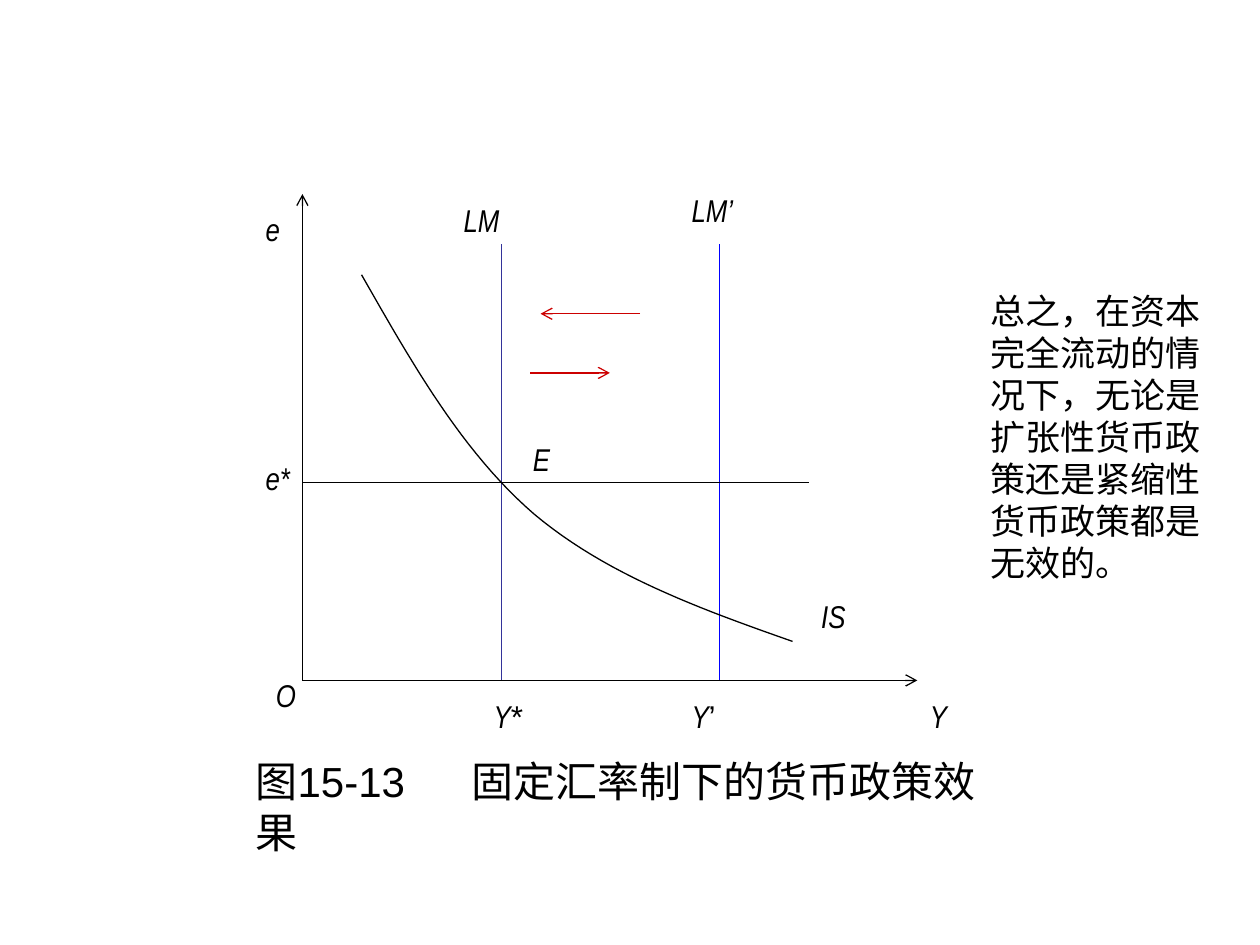
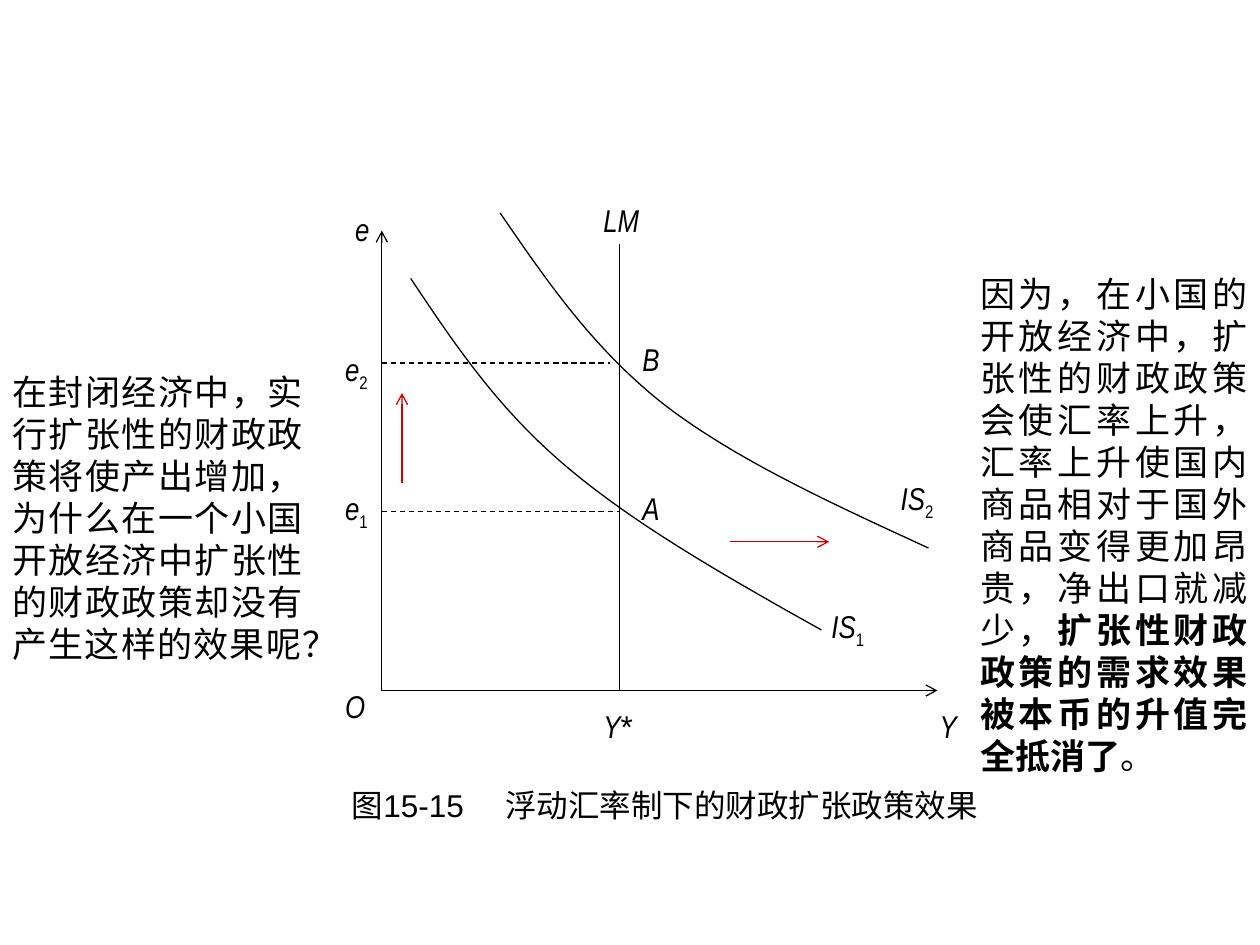
from lxml.etree import SubElement
from pptx import Presentation
from pptx.dml.color import RGBColor
from pptx.enum.dml import MSO_LINE
from pptx.enum.lang import MSO_LANGUAGE_ID as LANG
from pptx.enum.shapes import MSO_CONNECTOR
from pptx.enum.text import MSO_AUTO_SIZE, PP_ALIGN
from pptx.oxml.ns import qn
from pptx.util import Pt

BLACK, RED, NAVY, BLUE = "000000", "CC0000", "333399", "0000FF"
SANS, NARROW = "Arial", "Arial Narrow"
LABEL_H = 28.8
CURVE_STEPS = 24

MONETARY = {
    "axes": {"origin": (172.8, 388.8), "x_end": 524.2, "y_end": 110.9},
    "lines": [
        ((286.6, 139.7), (286.6, 388.8), {"color": NAVY}),
        ((411.1, 139.7), (411.1, 388.8), {"color": BLUE}),
        ((172.8, 275.8), (462.2, 275.8), {}),
        ((303.1, 213.1), (348.5, 213.1), {"color": RED, "arrow": True}),
        ((365.8, 179.3), (308.9, 179.3), {"color": RED, "arrow": True}),
    ],
    "curves": [
        [(206.6, 157), (235.4, 207.4), (264.2, 258.5), (305.3, 293.8),
         (346.3, 328.3), (399.6, 347.8), (452.9, 366.5)],
    ],
    "labels": [
        ("e", "", 144.7, 116.6, 17.3),
        ("e*", "", 144.7, 258.5, 39.6),
        ("O", "", 150.5, 383, 22.3),
        ("Y", "", 524.2, 394.6, 23),
        ("Y", "*", 275, 394.6, 33.8),
        ("Y", "’", 388.1, 394.6, 45.4),
        ("IS", "", 462.2, 337.7, 39.6),
        ("E", "", 297.4, 247.7, 22.3),
        ("LM", "", 257.8, 111.6, 45.4),
        ("LM’", "", 388.1, 105.8, 51.1),
    ],
    "texts": [
        ([("图15-13\t固定汇率制下的货币政策效果", {})],
         (139, 428.4, 442.1, 93.6), {"size": 24, "tab": 123.5}),
        ([("总之，在资本完全流动的情况下，无论是扩张性货币政策还是紧缩性货币政策都是无效的。", {})],
         (558.7, 162, 147.6, 175.7), {}),
    ],
}

FISCAL = {
    "axes": {"origin": (218.2, 394.6), "x_end": 535.7, "y_end": 131.8},
    "lines": [
        ((354.2, 139.7), (354.2, 394.6), {}),
        ((218.2, 207.4), (348.5, 207.4), {"dash": True}),
        ((218.2, 292.3), (354.2, 292.3), {"dash": True}),
        ((229.7, 275.8), (229.7, 224.6), {"color": RED, "arrow": True}),
        ((416.9, 309.6), (473.8, 309.6), {"color": RED, "arrow": True}),
    ],
    "curves": [
        [(234.7, 159.1), (259.2, 195.8), (283.7, 232.6), (322.6, 265.7),
         (362.2, 299.5), (415.4, 329.8), (469.4, 360)],
        [(285.8, 121.7), (312.5, 160.6), (339.1, 199.4), (379.4, 231.1),
         (420.5, 262.8), (475.9, 288), (530.6, 313.2)],
    ],
    "labels": [
        ("O", "", 190.1, 388.8, 33.8),
        ("Y", "", 529.9, 400.3, 51.1),
        ("Y", "*", 337.7, 400.3, 51.1),
        ("B", "", 360, 190.8, 28.1),
        ("A", "", 360, 275.8, 28.1),
        ("LM", "", 337.7, 111.6, 45.4),
        ("e", "", 195.8, 116.6, 28.1),
        ("e", "1", 190.1, 275.8, 33.8),
        ("e", "2", 190.1, 196.6, 39.6),
        ("IS", "1", 468, 343.4, 33.8),
        ("IS", "2", 507.6, 270, 45.4),
    ],
    "texts": [
        ([("图15-15\t浮动汇率制下的财政扩张政策效果", {})],
         (194, 445.7, 489.4, 28.8), {"size": 18, "tab": 87.5}),
        ([("因为，在小国的开放经济中，扩张性的财政政策会使汇率上升，汇率上升使国内商品相对于国外商品变得更加昂贵，净出口就减少，", {}),
          ("扩张性财政政策的需求效果被本币的升值完全抵消了", {"bold": True}),
          ("。", {})],
         (553, 151.9, 167, 295.2), {"align": PP_ALIGN.JUSTIFY}),
        ([("在封闭经济中，实行扩张性的财政政策将使产出增加，为什么在一个小国开放经济中扩张性的财政政策却没有产生这样的效果呢？", {})],
         (0, 208.1, 180, 175.7), {"align": PP_ALIGN.JUSTIFY}),
    ],
}


def rgb(value):
    return RGBColor.from_string(value)


def add_text(s, runs, box, size=20, font=SANS, align=PP_ALIGN.LEFT, tab=None):
    tf = s.shapes.add_textbox(*map(Pt, box)).text_frame
    tf.word_wrap = True
    tf.auto_size = MSO_AUTO_SIZE.SHAPE_TO_FIT_TEXT
    p = tf.paragraphs[0]
    p.alignment = align
    if tab:
        tabs = SubElement(p._p.get_or_add_pPr(), qn("a:tabLst"))
        SubElement(tabs, qn("a:tab"), pos=str(Pt(tab)), algn="l")
    for text, style in runs:
        r = p.add_run()
        r.text = text
        f = r.font
        f.name = style.get("font", font)
        f.size = Pt(size)
        f.bold = style.get("bold", False)
        f.italic = style.get("italic", False)
        f.color.rgb = rgb(BLACK)
        f.language_id = LANG.SIMPLIFIED_CHINESE
        if style.get("sub"):
            f._element.set("baseline", "-25000")


def add_label(s, name, suffix, left, top, width):
    runs = [(name, {"italic": True})]
    if suffix.isdigit():
        runs.append((suffix, {"sub": True}))
    elif suffix:
        runs.append((suffix, {"font": SANS}))
    add_text(s, runs, (left, top, width, LABEL_H), size=18, font=NARROW)


def add_line(s, start, end, color=BLACK, arrow=False, dash=False):
    c = s.shapes.add_connector(MSO_CONNECTOR.STRAIGHT, *map(Pt, start + end))
    c.line.width = Pt(0.75)
    c.line.color.rgb = rgb(color)
    if dash:
        c.line.dash_style = MSO_LINE.DASH
    if arrow:
        SubElement(c.line._get_or_add_ln(), qn("a:tailEnd"), type="arrow")
    SubElement(c._element.spPr, qn("a:effectLst"))


def bezier(a, b, c, d, t):
    u = 1 - t
    return tuple(Pt(u**3 * i + 3 * u * u * t * j + 3 * u * t * t * k + t**3 * l)
                 for i, j, k, l in zip(a, b, c, d))


def add_curve(s, nodes):
    points = [bezier(*nodes[i:i + 4], step / CURVE_STEPS)
              for i in range(0, len(nodes) - 1, 3)
              for step in range(1, CURVE_STEPS + 1)]
    fb = s.shapes.build_freeform(*map(Pt, nodes[0]))
    fb.add_line_segments(points, close=False)
    sp = fb.convert_to_shape()
    sp.shadow.inherit = False
    sp.fill.background()
    sp.line.width = Pt(0.75)
    sp.line.color.rgb = rgb(BLACK)


def add_axes(s, origin, x_end, y_end):
    add_line(s, origin, (x_end, origin[1]), arrow=True)
    add_line(s, origin, (origin[0], y_end), arrow=True)


def add_diagram(prs, diagram):
    s = prs.slides.add_slide(prs.slide_layouts[6])
    add_axes(s, **diagram["axes"])
    for start, end, style in diagram["lines"]:
        add_line(s, start, end, **style)
    for nodes in diagram["curves"]:
        add_curve(s, nodes)
    for label in diagram["labels"]:
        add_label(s, *label)
    for runs, box, style in diagram["texts"]:
        add_text(s, runs, box, **style)


def main():
    prs = Presentation()
    prs.slide_width, prs.slide_height = Pt(720), Pt(540)
    for diagram in (MONETARY, FISCAL):
        add_diagram(prs, diagram)
    prs.save("out.pptx")


if __name__ == "__main__":
    main()
